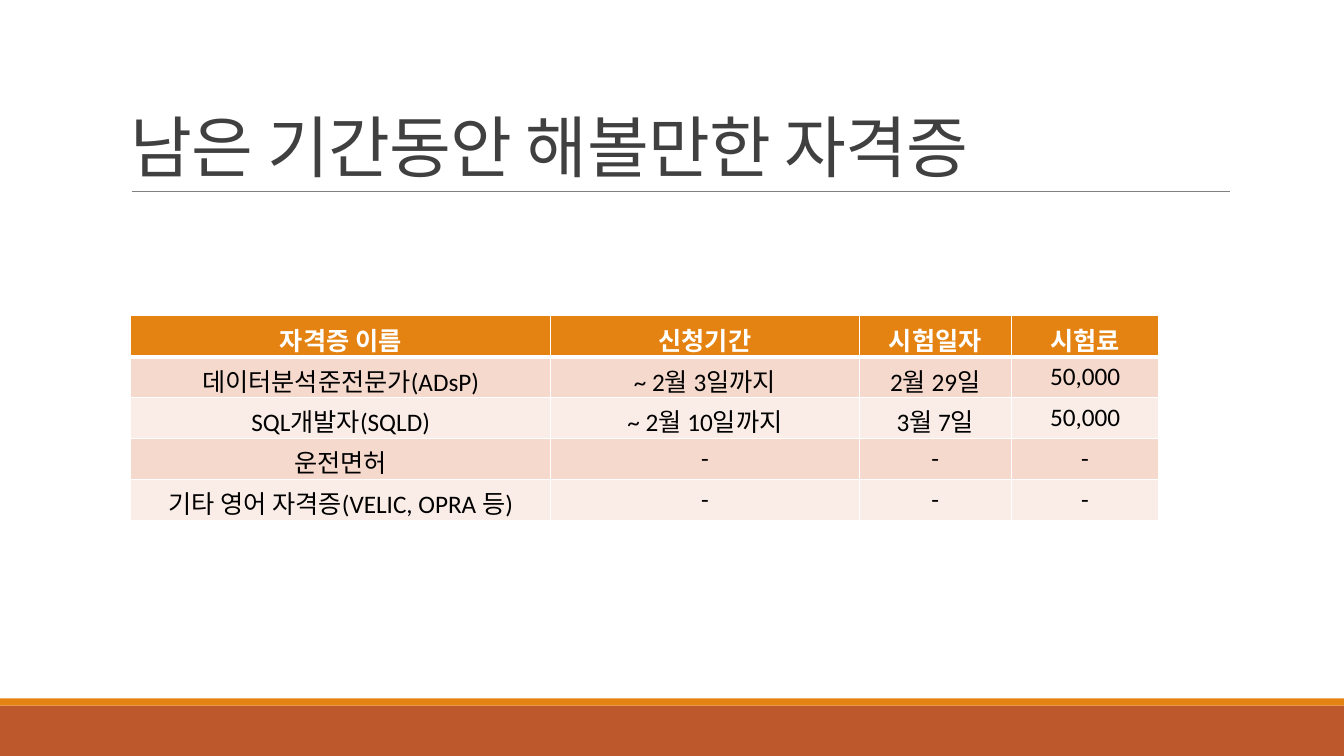
from lxml.etree import SubElement
from pptx import Presentation
from pptx.dml.color import RGBColor
from pptx.enum.shapes import MSO_CONNECTOR as CONN, MSO_SHAPE as SHAPE
from pptx.enum.text import MSO_ANCHOR as ANCHOR, PP_ALIGN as ALIGN
from pptx.oxml.ns import qn
from pptx.util import Cm, Pt

COLORS = {
    "orange": "E48312", "rust": "BD582C", "rule": "808080", "title": "404040",
    "white": "FFFFFF", "black": "000000", "band_dark": "F5D9CC", "band_light": "FAEDE7",
}
COL_WIDTHS = [10.59, 7.77, 3.84, 3.71]
ROW_HEIGHT = 1.03
ROWS = [
    ["자격증 이름", "신청기간", "시험일자", "시험료"],
    ["데이터분석준전문가(ADsP)", "~ 2월 3일까지", "2월 29일", "50,000"],
    ["SQL개발자(SQLD)", "~ 2월 10일까지", "3월 7일", "50,000"],
    ["운전면허", "-", "-", "-"],
    ["기타 영어 자격증(VELIC, OPRA 등)", "-", "-", "-"],
]


def rgb(name):
    """Return the named colour."""
    return RGBColor.from_string(COLORS[name])


def write(tf, text, size=18, color="black", bold=False, align=ALIGN.LEFT, line=None, spacing=None):
    """Write one formatted paragraph into a text frame."""
    p = tf.paragraphs[0]
    p.alignment = align
    if line:
        p.line_spacing = line
    r = p.add_run()
    r.text = text
    r.font.name = "Calibri"
    r.font.size = Pt(size)
    r.font.bold = bold
    r.font.color.rgb = rgb(color)
    if spacing:
        r.font._element.set("spc", str(int(spacing * 100)))


def add_band(s, top, height, color):
    """Add a full-width band without outline."""
    sp = s.shapes.add_shape(SHAPE.RECTANGLE, 0, Cm(top), Cm(33.87), Cm(height))
    sp.shadow.inherit = False
    sp.fill.solid()
    sp.fill.fore_color.rgb = rgb(color)
    sp.line.fill.background()


def add_rule(s, left, right, y):
    """Add a thin horizontal rule."""
    ln = s.shapes.add_connector(CONN.STRAIGHT, Cm(left), Cm(y), Cm(right), Cm(y))
    ln.line.color.rgb = rgb("rule")
    ln.line.width = Pt(0.5)
    SubElement(ln._element.spPr, qn("a:effectLst"))


def add_title(s, text):
    """Add the bottom-anchored title."""
    tf = s.shapes.add_textbox(Cm(3.05), Cm(0.79), Cm(27.94), Cm(4.04)).text_frame
    tf.word_wrap = True
    tf.vertical_anchor = ANCHOR.BOTTOM
    write(tf, text, size=48, color="title", line=0.85, spacing=-0.5)


def set_borders(cell, **widths):
    """Draw white cell borders with widths in points."""
    tcPr = cell._tc.get_or_add_tcPr()
    for side, width in widths.items():
        ln = SubElement(tcPr, qn(f"a:ln{side}"), w=str(Pt(width)))
        fill = SubElement(ln, qn("a:solidFill"))
        SubElement(fill, qn("a:srgbClr"), val=COLORS["white"])


def add_table(s, left, top):
    """Add the certificate table with a header and banded rows."""
    frame = s.shapes.add_table(len(ROWS), len(COL_WIDTHS), Cm(left), Cm(top),
                               Cm(sum(COL_WIDTHS)), Cm(ROW_HEIGHT * len(ROWS)))
    table = frame.table
    for column, width in zip(table.columns, COL_WIDTHS):
        column.width = Cm(width)
    for i, row in enumerate(ROWS):
        table.rows[i].height = Cm(ROW_HEIGHT)
        header = i == 0
        band = "orange" if header else "band_dark" if i % 2 else "band_light"
        for j, text in enumerate(row):
            cell = table.cell(i, j)
            set_borders(cell, L=1, R=1, T=3 if i == 1 else 1, B=3 if header else 1)
            cell.fill.solid()
            cell.fill.fore_color.rgb = rgb(band)
            write(cell.text_frame, text, color="white" if header else "black",
                  bold=header, align=ALIGN.CENTER)


def main():
    """Build and save the slide."""
    prs = Presentation()
    prs.slide_width, prs.slide_height = Cm(33.87), Cm(19.05)
    s = prs.slides.add_slide(prs.slide_layouts[6])
    add_band(s, 17.78, 1.27, "rust")
    add_band(s, 17.6, 0.18, "orange")
    add_rule(s, 3.32, 31, 4.82)
    add_title(s, "남은 기간동안 해볼만한 자격증")
    add_table(s, 3.29, 7.96)
    prs.save("out.pptx")


if __name__ == "__main__":
    main()
